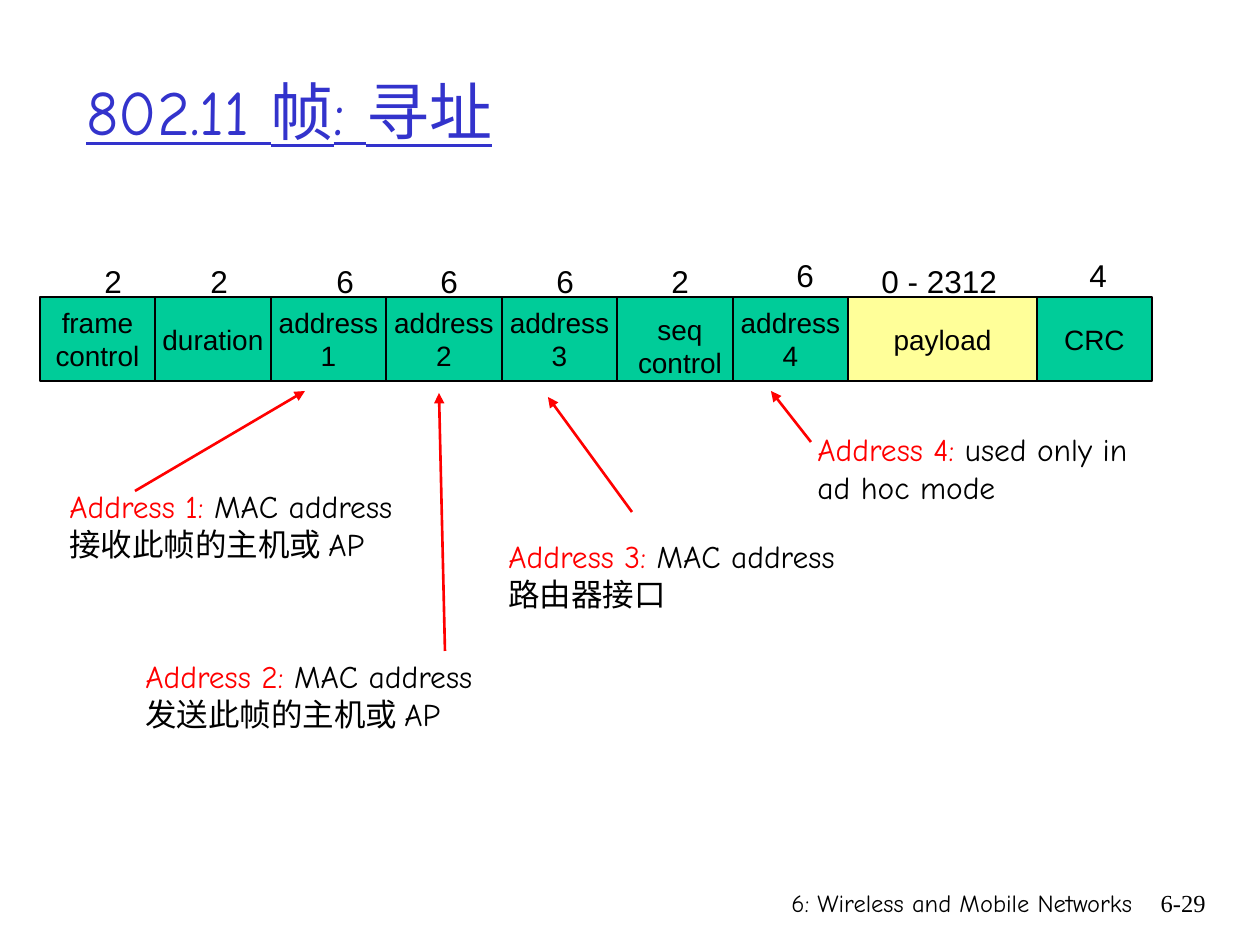
from lxml import etree
from pptx import Presentation
from pptx import util as u
from pptx.dml.color import RGBColor
from pptx.enum import shapes, text
from pptx.oxml import ns

PX = 914400 / 126

BLACK = RGBColor(0x00, 0x00, 0x00)
RED = RGBColor(0xFF, 0x00, 0x00)
BLUE = RGBColor(0x33, 0x33, 0xCC)
GREEN = RGBColor(0x00, 0xCC, 0x99)
YELLOW = RGBColor(0xFF, 0xFF, 0x99)

SANS = "Arial"
HAND = "Comic Neue"
SERIF = "Times New Roman"

ROW_LEFT, ROW_TOP, ROW_HEIGHT = 40, 297, 84
FIELD_SPAN = 231  # two header fields side by side
PAYLOAD_WIDTH = 189

HEADER_FIELDS = ["frame\ncontrol", "duration", "address\n1", "address\n2",
                 "address\n3", "", "address\n4"]

# bytes, left, top, width
BYTE_COUNTS = [
    ("2", 92, 256, 43), ("2", 198, 256, 43), ("6", 324, 256, 43),
    ("6", 428, 256, 43), ("6", 544, 256, 43), ("2", 659, 256, 43),
    ("6", 784, 250, 43), ("0 - 2312", 869, 256, 152), ("4", 1077, 250, 43),
]

# label, description, box, wraps, arrow start, arrow end
ADDRESS_NOTES = [
    ("Address 1:", " MAC address\n接收此帧的主机或 AP", (57, 481, 360, 88), False,
     (135, 491), (305, 391)),
    ("Address 2:", " MAC address\n发送此帧的主机或 AP", (133, 651, 360, 126), False,
     (445, 651), (439, 393)),
    ("Address 3:", " MAC address\n路由器接口", (496, 531, 421, 88), True,
     (632, 512), (548, 397)),
    ("Address 4:", " used only in ad hoc mode", (805, 424, 359, 88), True,
     (811, 442), (771, 391)),
]


def px(*lengths):
    return [u.Emu(round(length * PX)) for length in lengths]


def write(shape, content, label="", font=SANS, size=18, color=BLACK,
          align=text.PP_ALIGN.LEFT, anchor=text.MSO_ANCHOR.TOP,
          wrap=False, underline=False):
    """Fill a shape with text, one paragraph a line, led by an optional red label."""
    frame = shape.text_frame
    frame.word_wrap = wrap
    frame.vertical_anchor = anchor
    for index, line in enumerate(content.split("\n")):
        paragraph = frame.paragraphs[0] if index == 0 else frame.add_paragraph()
        paragraph.alignment = align
        runs = [(line, color)]
        if label and index == 0:
            runs.insert(0, (label, RED))
        for words, run_color in runs:
            run = paragraph.add_run()
            run.text = words
            run.font.name = font
            run.font.size = u.Pt(size)
            run.font.color.rgb = run_color
            if underline:
                run.font.underline = True


def add_text(slide, box, content, grow=False, **text_format):
    shape = slide.shapes.add_textbox(*px(*box))
    write(shape, content, **text_format)
    if grow:
        shape.text_frame.auto_size = text.MSO_AUTO_SIZE.SHAPE_TO_FIT_TEXT


def add_field(slide, left, right, name, fill=GREEN):
    shape = slide.shapes.add_shape(
        shapes.MSO_SHAPE.RECTANGLE, *px(left, ROW_TOP, right - left, ROW_HEIGHT))
    shape.shadow.inherit = False
    shape.fill.solid()
    shape.fill.fore_color.rgb = fill
    shape.line.color.rgb = BLACK
    shape.line.width = u.Pt(0.75)
    if name:
        write(shape, name, size=16, align=text.PP_ALIGN.CENTER,
              anchor=text.MSO_ANCHOR.MIDDLE)


def add_arrow(slide, start, end):
    connector = slide.shapes.add_connector(
        shapes.MSO_CONNECTOR.STRAIGHT, *px(*start, *end))
    connector.line.color.rgb = RED
    connector.line.width = u.Pt(1.5)
    etree.SubElement(connector.line._get_or_add_ln(), ns.qn("a:tailEnd"),
                     type="triangle")
    etree.SubElement(connector._element.spPr, ns.qn("a:effectLst"))


def add_frame_row(slide):
    edges = [ROW_LEFT + FIELD_SPAN * index // 2
             for index in range(len(HEADER_FIELDS) + 1)]
    for name, left, right in zip(HEADER_FIELDS, edges, edges[1:]):
        add_field(slide, left, right, name)
    payload_end = edges[-1] + PAYLOAD_WIDTH
    add_field(slide, edges[-1], payload_end, "payload", fill=YELLOW)
    add_field(slide, payload_end, payload_end + FIELD_SPAN // 2, "CRC")
    add_text(slide, (618, 306, 124, 81), "seq\ncontrol", size=16,
             align=text.PP_ALIGN.CENTER)
    for count, left, top, width in BYTE_COUNTS:
        add_text(slide, (left, top, width, 50), count)


def main():
    presentation = Presentation()
    presentation.slide_width, presentation.slide_height = px(1260, 945)
    slide = presentation.slides.add_slide(presentation.slide_layouts[6])

    add_text(slide, (74, 32, 1071, 157), "802.11 帧: 寻址", font=HAND, size=36,
             color=BLUE, anchor=text.MSO_ANCHOR.MIDDLE, wrap=True, underline=True)
    add_frame_row(slide)
    for label, description, box, wrap, start, end in ADDRESS_NOTES:
        add_text(slide, box, description, grow=True, label=label, font=HAND, wrap=wrap)
        add_arrow(slide, start, end)

    add_text(slide, (613, 882, 532, 63), "6: Wireless and Mobile Networks",
             font=HAND, size=14, align=text.PP_ALIGN.RIGHT, wrap=True)
    add_text(slide, (1125, 882, 93, 63), "6-29", font=SERIF, size=14,
             align=text.PP_ALIGN.RIGHT, wrap=True)
    presentation.save("out.pptx")


if __name__ == "__main__":
    main()
